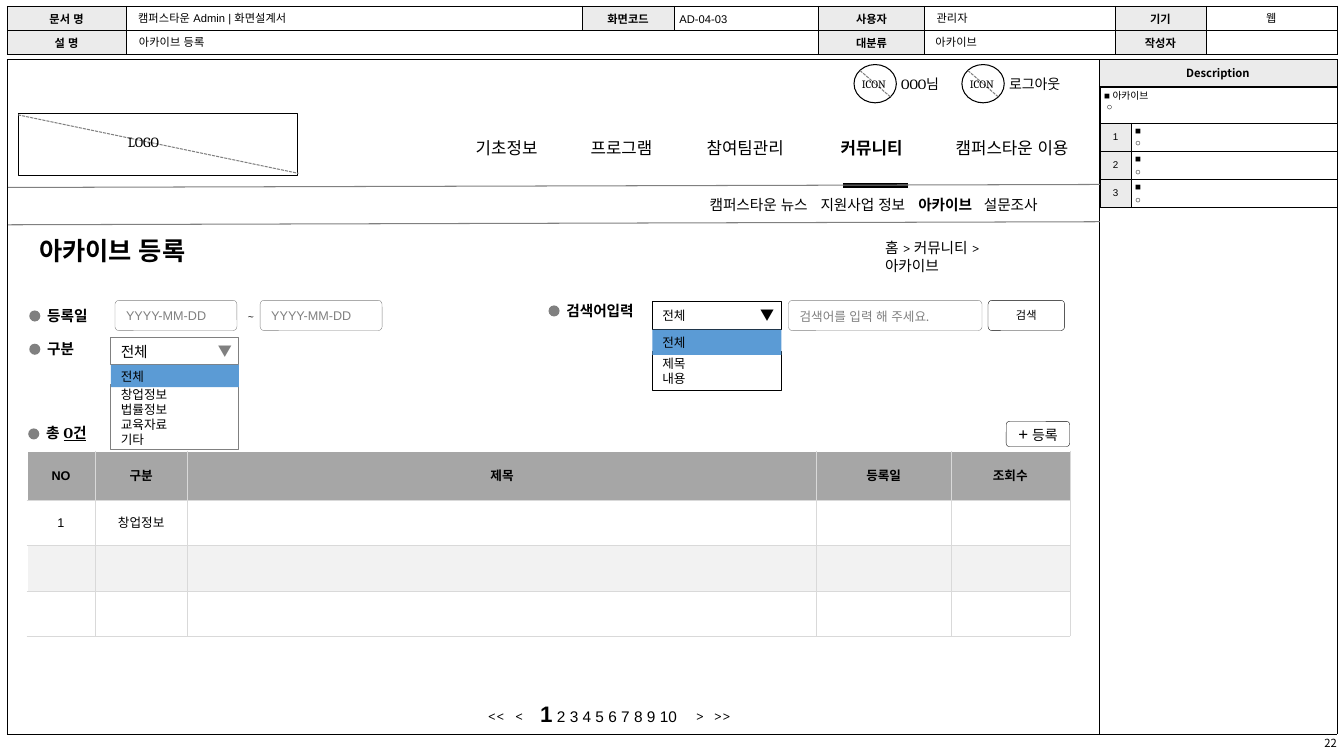
from lxml.etree import SubElement
from pptx import Presentation
from pptx.dml.color import RGBColor
from pptx.enum.dml import MSO_LINE
from pptx.enum.lang import MSO_LANGUAGE_ID
from pptx.enum.shapes import MSO_CONNECTOR, MSO_SHAPE
from pptx.enum.text import MSO_ANCHOR, PP_ALIGN
from pptx.oxml.ns import qn
from pptx.util import Inches, Pt

INK = {"black": "000000", "gray": "808080", "label": "EBEBEB", "white": "FFFFFF",
       "head": "A6A6A6", "band": "F2F2F2", "rule": "D9D9D9", "blue": "5B9BD5"}
SANS, SERIF, NOTO = "Arial", "Cambria", "Noto Sans CJK KR"
LEFT, MID, RIGHT = PP_ALIGN.LEFT, PP_ALIGN.CENTER, PP_ALIGN.RIGHT
PAD = (0.1, 0.05, 0.1, 0.05)
FLAT = (0.1, 0, 0.1, 0)
SLIM, THIN, SIDE = (0.04,) * 4, (0.01,) * 4, (0.12, 0.01, 0.01, 0.01)


def tint(name):
    return RGBColor.from_string(INK[name])


def dress(run, size, font=SANS, color="black", bold=False):
    face = run.font
    face.size, face.name, face.bold = Pt(size), font, bold
    face.color.rgb = tint(color)
    face.language_id = MSO_LANGUAGE_ID.KOREAN
    SubElement(face._element, qn("a:ea"), typeface=NOTO if font == NOTO else SANS)
    return run


def write(frame, text, size, font=SANS, color="black", bold=False, align=LEFT, gap=0):
    frame.text = text
    for par in frame.paragraphs:
        par.alignment = align
        par.space_before = Pt(gap)
        for run in par.runs:
            dress(run, size, font, color, bold)
        if not par.runs:
            SubElement(par._p, qn("a:endParaRPr"), sz=str(size * 100))


def extend(frame, text, *look):
    run = frame.paragraphs[0].add_run()
    run.text = text
    return dress(run, *look)


def place(box, x, y, w, h):
    return [Inches(n) for n in (box[0] + x, box[1] + y, w, h)]


def inset(frame, pad, anchor):
    frame.word_wrap = True
    frame.vertical_anchor = anchor
    frame.margin_left, frame.margin_top, frame.margin_right, frame.margin_bottom = map(Inches, pad)


def label(slide, box, spot, text, size, font=SERIF, pad=PAD, anchor=MSO_ANCHOR.TOP, **look):
    frame = slide.shapes.add_textbox(*place(box, *spot)).text_frame
    inset(frame, pad, anchor)
    write(frame, text, size, font, **look)
    return frame


def block(slide, box, spot, kind=MSO_SHAPE.RECTANGLE, fill=None, line=None, width=0.75, pad=PAD):
    shape = slide.shapes.add_shape(kind, *place(box, *spot))
    shape.shadow.inherit = False
    if kind == MSO_SHAPE.ROUNDED_RECTANGLE:
        shape.adjustments[0] = 0.13
    if fill:
        shape.fill.solid()
        shape.fill.fore_color.rgb = tint(fill)
    else:
        shape.fill.background()
    if line:
        shape.line.color.rgb = tint(line)
        shape.line.width = Pt(width)
    else:
        shape.line.fill.background()
    inset(shape.text_frame, pad, MSO_ANCHOR.MIDDLE)
    return shape.text_frame


def field(slide, box, spot, line="gray", fill="white", pad=PAD):
    return block(slide, box, spot, MSO_SHAPE.ROUNDED_RECTANGLE, fill, line, 0.25, pad)


def stroke(slide, box, x1, y1, x2, y2, color="gray", width=0.75, dash=False):
    ends = place(box, x1, y1, 0, 0)[:2] + place(box, x2, y2, 0, 0)[:2]
    line = slide.shapes.add_connector(MSO_CONNECTOR.STRAIGHT, *ends)
    line.line.color.rgb = tint(color)
    line.line.width = Pt(width)
    if dash:
        line.line.dash_style = MSO_LINE.SQUARE_DOT
    SubElement(line._element.spPr, qn("a:effectLst"))


def grid(slide, box, cols, rows, color="black", open_edge=False):
    frame = slide.shapes.add_table(len(rows), len(cols), *place(box, 0, 0, sum(cols), sum(rows)))
    table = frame.table
    table.first_row = table.horz_banding = False
    for col, w in zip(table.columns, cols):
        col.width = Inches(w)
    for row, h in zip(table.rows, rows):
        row.height = Inches(h)
    for r in range(len(rows)):
        for c in range(len(cols)):
            props = table.cell(r, c)._tc.get_or_add_tcPr()
            for side in "LRTB":
                if open_edge and (side == "L" and c == 0 or side == "T" and r == 0):
                    continue
                edge = SubElement(props, qn("a:ln" + side), w="3175")
                SubElement(SubElement(edge, qn("a:solidFill")), qn("a:srgbClr"), val=INK[color])
    return table


def put(cell, text, fill, size=8, pad=PAD, anchor=MSO_ANCHOR.MIDDLE, **look):
    if fill:
        cell.fill.solid()
        cell.fill.fore_color.rgb = tint(fill)
    else:
        cell.fill.background()
    cell.vertical_anchor = anchor
    cell.margin_left, cell.margin_top, cell.margin_right, cell.margin_bottom = map(Inches, pad)
    write(cell.text_frame, text, size, **look)


def header(slide, box):
    table = grid(slide, box, [1.18, 4.52, 0.92, 1.43, 1.05, 1.89, 0.9, 1.3], [0.24] * 2)
    rows = [["문서 명", "캠퍼스타운 Admin | 화면설계서", "화면코드", "", "사용자", "관리자", "기기", "웹"],
            ["설 명", "", "", "", "대분류", "", "작성자", ""]]
    for r, row in enumerate(rows):
        for c, text in enumerate(row):
            if c % 2 == 0 and text:
                put(table.cell(r, c), text, "label", pad=SLIM if c < 6 else THIN,
                    font=NOTO, bold=True, align=MID)
            else:
                put(table.cell(r, c), text, "white", pad=THIN if c == 7 else SIDE,
                    align=MID if c == 7 else LEFT)
    table.cell(1, 1).merge(table.cell(1, 3))
    label(slide, box, (6.57, 0.01, 1.43, 0.23), "AD-04-03", 8, SANS, gap=1.6)
    label(slide, box, (9.11, 0.24, 0.65, 0.24), "아카이브", 8, SANS)
    label(slide, box, (1.21, 0.24, 0.92, 0.24), "아카이브 등록", 8, SANS)


def panes(slide, box):
    table = grid(slide, box, [10.83, 2.36], [0.26, 6.43])
    for r in range(2):
        put(table.cell(r, 0), "", "white")
    put(table.cell(0, 1), "Description", "label", pad=SLIM, font=NOTO, bold=True, align=MID)
    put(table.cell(1, 1), "", "white")
    table.cell(0, 0).merge(table.cell(1, 0))
    label(slide, box, (10.83, 6.67, 2.36, 0.24), "22", 8, NOTO, (0.1, 0.05, 0, 0.05), align=RIGHT)


def notes(slide, box):
    table = grid(slide, box, [0.31, 2.04], [0.36] + [0.28] * 3)
    put(table.cell(0, 0), "■ 아카이브\n ○", "white", 7, (0.04, 0.04, 0.01, 0.01), MSO_ANCHOR.TOP)
    put(table.cell(0, 1), "", "white", 7)
    table.cell(0, 0).merge(table.cell(0, 1))
    for r in range(1, 4):
        put(table.cell(r, 0), str(r), "label", 7, THIN, align=MID)
        put(table.cell(r, 1), "■\n○", "white", 7, (0.04, 0.01, 0.04, 0.01), gap=1.4)


def menu(slide, box):
    block(slide, box, (0.08, 0.53, 2.77, 0.61), line="black")
    stroke(slide, box, 0.08, 0.54, 2.86, 1.12, dash=True)
    label(slide, box, (1.07, 0.68, 0.63, 0.27), "LOGO", 10)
    stroke(slide, box, 8.26, 1.24, 8.91, 1.24, "black", 3)
    for x, w, text in [(6.84, 1.3, "캠퍼스타운 뉴스"), (7.94, 1.15, "지원사업 정보"),
                       (8.91, 0.85, "아카이브"), (9.56, 0.85, "설문조사")]:
        label(slide, box, (x, 1.29, w, 0.28), text, 10.5, bold=text == "아카이브")
    for x, w, text in [(4.52, 0.94, "기초정보"), (5.66, 0.94, "프로그램"), (6.81, 1.12, "참여팀관리"),
                       (8.14, 0.94, "커뮤니티"), (9.28, 1.42, "캠퍼스타운 이용")]:
        label(slide, box, (x, 0.72, w, 0.3), text, 12, bold=text == "커뮤니티")
    for y in (1.26, 1.63):
        stroke(slide, box, -0.02, y, 10.81, y - 0.03)
    for i, text in enumerate(["OOO님", "로그아웃"]):
        x = 8.37 + i * 1.07
        block(slide, box, (x, 0.04, 0.42, 0.38), MSO_SHAPE.OVAL, line="black")
        stroke(slide, box, x + 0.06, 0.1, x + 0.36, 0.36, dash=True)
        label(slide, box, (x - 0.02, 0.12, 0.47, 0.24), "ICON", 8)
        label(slide, box, (x + 0.37, 0.1, 0.76, 0.27), text, 10)


def title(slide, box):
    label(slide, box, (0.09, 0.09, 2.8, 0.4), "아카이브 등록", 18, bold=True)
    label(slide, box, (8.48, 0.12, 1.85, 0.28), "홈 > 커뮤니티 > 아카이브", 10.5,
          pad=(0.1, 0.05, 0.4, 0.05))


def bullet(slide, box, x, y, w, text):
    block(slide, box, (x, y + 0.09, 0.11, 0.11), MSO_SHAPE.FLOWCHART_CONNECTOR, "gray")
    return label(slide, box, (x + 0.08, y, w, 0.28), text, 10.5, bold=True)


def picker(slide, box, w, h, first, drop, items, size, color, font):
    write(block(slide, box, (0, 0, w, h), line=color), "전체", size, SERIF)
    label(slide, box, (w - 0.29, 0.05, 0.28, 0.17), "▼", 10, NOTO, (0.08, 0, 0.08, 0),
          MSO_ANCHOR.MIDDLE, color=color)
    write(block(slide, box, (0, h + first - 0.03, w, drop), line=color, pad=FLAT), items, 9, font)
    write(block(slide, box, (0, h, w, first), fill="blue", pad=FLAT), "전체", 9, font)


def search(slide, box):
    bullet(slide, box, 0.09, 0.09, 0.82, "등록일")
    for x in (0.94, 2.38):
        write(field(slide, box, (x, 0.08, 1.21, 0.3)), "YYYY-MM-DD", 9, color="gray")
    label(slide, box, (2.15, 0.12, 0.29, 0.24), "~", 8)
    word = field(slide, box, (7.62, 0.08, 1.92, 0.3))
    write(word, "검색어를 입력 해 주세요", 9, SERIF, "gray")
    extend(word, ".", 10.5, SERIF, "gray")
    write(field(slide, box, (9.6, 0.08, 0.76, 0.3), "black", None, SLIM), "검색", 8, align=MID)
    picker(slide, (box[0] + 6.27, box[1] + 0.09), 1.28, 0.28, 0.25, 0.38,
           "제목\n내용", 9, "black", SERIF)
    bullet(slide, box, 5.24, 0.04, 1.07, "검색어입력")
    bullet(slide, box, 0.09, 0.42, 0.7, "구분")
    picker(slide, (box[0] + 0.9, box[1] + 0.45), 1.27, 0.27, 0.22, 0.65,
           "창업정보\n법률정보\n교육자료\n기타", 10.5, "gray", SANS)


def listing(slide, box):
    table = grid(slide, (box[0], box[1] + 0.38), [0.67, 0.92, 6.24, 1.33, 1.18],
                 [0.48] + [0.45] * 3, "rule", True)
    rows = [["NO", "구분", "제목", "등록일", "조회수"], ["1", "창업정보"] + [""] * 3, [""] * 5, [""] * 5]
    fills = ["head", None, "band", None]
    for r, row in enumerate(rows):
        for c, text in enumerate(row):
            put(table.cell(r, c), text, fills[r], 9, bold=r == 0, align=MID,
                font=SERIF if r == 0 and c > 1 else SANS)
    total = bullet(slide, box, 0.01, 0.06, 0.72, "총 ")
    extend(total, "O건", 10.5, SERIF, "black", True).font.underline = True
    button = field(slide, box, (9.71, 0.08, 0.63, 0.25), "black", None, SLIM)
    write(button, "+", 12, align=MID)
    extend(button, " 등록", 10)


def pager(slide, box):
    for x, text in [(0.22, "<<"), (0.49, "<"), (2.28, ">"), (2.46, ">>")]:
        label(slide, box, (x, 0.06, 0.45, 0.28), text, 11)
    pages = label(slide, box, (0.74, 0, 1.7, 0.37), "1", 16, SANS, bold=True)
    extend(pages, " 2 3 4 5 6 7 8 9 10", 11)


def main():
    deck = Presentation()
    deck.slide_width, deck.slide_height = Inches(13.33), Inches(7.5)
    slide = deck.slides.add_slide(deck.slide_layouts[6])
    panes(slide, (0.07, 0.59))
    header(slide, (0.07, 0.06))
    notes(slide, (10.91, 0.86))
    listing(slide, (0.27, 4.1))
    pager(slide, (4.52, 6.9))
    search(slide, (0.2, 2.9))
    title(slide, (0.2, 2.2))
    menu(slide, (0.1, 0.6))
    deck.save("out.pptx")


if __name__ == "__main__":
    main()
